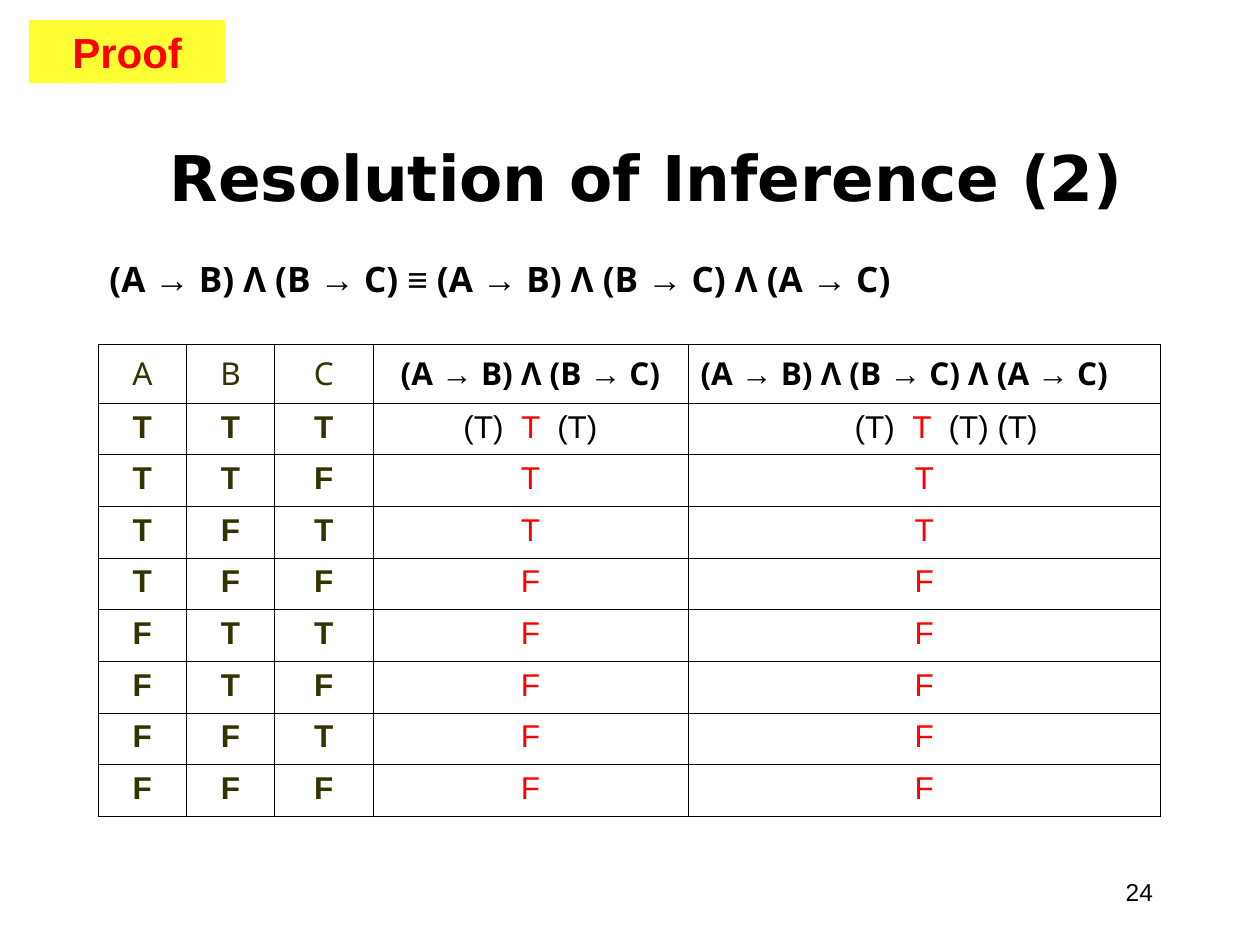
from itertools import groupby, product

from lxml.etree import SubElement
from pptx import Presentation
from pptx.dml.color import RGBColor
from pptx.enum.shapes import MSO_SHAPE
from pptx.enum.text import MSO_ANCHOR, PP_ALIGN
from pptx.oxml.ns import qn
from pptx.util import Inches, Pt

COLORS = {"ink": "000000", "olive": "333300", "red": "FF0000", "yellow": "FFFF33"}
# Font and weight of the logic symbols inside a formula
SYMBOLS = {"→": ("Arial", False), "≡": ("Arial", True)}
PREMISES = "(A → B) Λ (B → C)"
EXTENDED = PREMISES + " Λ (A → C)"
RESULTS = "TTTFFFFF"
COLUMN_WIDTHS = [0.7, 0.7, 0.78, 2.5, 3.75]
HEADER_HEIGHT, ROW_HEIGHT = 0.47, 0.41


def apply(target, formats):
    for name, value in formats.items():
        setattr(target, name, value)


def rgb(name):
    return RGBColor.from_string(COLORS[name])


def write(paragraph, text, size=18, font="Arial", color="ink", bold=False):
    run = paragraph.add_run()
    run.text = text
    apply(run.font, {"size": Pt(size), "name": font, "bold": bold})
    run.font.color.rgb = rgb(color)


def write_formula(paragraph, formula, size):
    for (font, bold), chars in groupby(formula, lambda c: SYMBOLS.get(c, ("Noto Sans", True))):
        write(paragraph, "".join(chars), size, font, bold=bold)


def indent(paragraph, inches):
    paragraph._p.get_or_add_pPr().set("marL", str(Inches(inches)))


def place(shape, left, top, width, height):
    apply(shape, {"left": Inches(left), "top": Inches(top),
                  "width": Inches(width), "height": Inches(height)})


def add_text(slide, box, align, anchor=MSO_ANCHOR.TOP, wrap=True):
    frame = slide.shapes.add_textbox(*map(Inches, box)).text_frame
    apply(frame, {"word_wrap": wrap, "vertical_anchor": anchor})
    frame.paragraphs[0].alignment = align
    return frame.paragraphs[0]


def border(cell):
    properties = cell._tc.get_or_add_tcPr()
    for position, side in enumerate(("lnL", "lnR", "lnT", "lnB")):
        line = SubElement(properties, qn(f"a:{side}"), w=str(Pt(0.45)))
        fill = SubElement(line, qn("a:solidFill"))
        SubElement(fill, qn("a:srgbClr"), val=COLORS["ink"])
        properties.insert(position, line)


def format_cell(cell, anchor):
    cell.fill.background()
    border(cell)
    apply(cell, {"vertical_anchor": anchor,
                 "margin_left": Inches(0.1), "margin_right": Inches(0.1),
                 "margin_top": Inches(0.05), "margin_bottom": Inches(0.05)})
    paragraph = cell.text_frame.paragraphs[0]
    paragraph.alignment = PP_ALIGN.CENTER
    return paragraph


def add_truth_table(slide):
    heights = [HEADER_HEIGHT] + [ROW_HEIGHT] * len(RESULTS)
    table = slide.shapes.add_table(
        len(heights), len(COLUMN_WIDTHS), Inches(0.78), Inches(2.73),
        Inches(sum(COLUMN_WIDTHS)), Inches(sum(heights))).table
    apply(table, {"first_row": False, "horz_banding": False})
    for column, width in zip(table.columns, COLUMN_WIDTHS):
        column.width = Inches(width)
    for row, height in zip(table.rows, heights):
        row.height = Inches(height)

    # Header row
    header = [format_cell(cell, MSO_ANCHOR.MIDDLE) for cell in table.rows[0].cells]
    for paragraph, variable in zip(header, "ABC"):
        write(paragraph, variable, font="Noto Sans", color="olive")
    write_formula(header[3], PREMISES, 18)
    write_formula(header[4], EXTENDED, 18)
    apply(header[4], {"alignment": PP_ALIGN.LEFT, "line_spacing": 0.9,
                      "space_before": Pt(4.5)})

    # Every assignment of A, B, C with the value of both formulas
    for number, (values, result) in enumerate(zip(product("TF", repeat=3), RESULTS), 1):
        cells = [format_cell(cell, MSO_ANCHOR.TOP) for cell in table.rows[number].cells]
        for paragraph, value in zip(cells, values):
            write(paragraph, value, color="olive", bold=True)
        for paragraph, tail in zip(cells[3:], (" (T)", " (T) (T)")):
            if number == 1:
                write(paragraph, "(T)  ")
                write(paragraph, result + " ", color="red")
                write(paragraph, tail)
            else:
                write(paragraph, result, color="red")
    indent(table.cell(1, 4).text_frame.paragraphs[0], 0.35)


def add_badge(slide):
    badge = slide.shapes.add_shape(MSO_SHAPE.RECTANGLE, *map(Inches, (0.23, 0.16, 1.56, 0.5)))
    badge.shadow.inherit = False
    badge.fill.solid()
    badge.fill.fore_color.rgb = rgb("yellow")
    badge.line.fill.background()
    badge.text_frame.vertical_anchor = MSO_ANCHOR.TOP
    label = badge.text_frame.paragraphs[0]
    label.alignment = PP_ALIGN.CENTER
    write(label, "Proof", 24, color="red", bold=True)


def main():
    deck = Presentation()
    apply(deck, {"slide_width": Inches(10), "slide_height": Inches(7.5)})
    slide = deck.slides.add_slide(deck.slide_layouts[5])

    # Slide number
    number = add_text(slide, (8.58, 6.83, 0.67, 0.5), PP_ALIGN.RIGHT, MSO_ANCHOR.MIDDLE, False)
    write(number, "24", 14)

    # Title
    title = slide.shapes.title
    place(title, 0.67, 1, 8.92, 0.75)
    apply(title.text_frame, {"vertical_anchor": MSO_ANCHOR.BOTTOM, "word_wrap": True})
    heading = title.text_frame.paragraphs[0]
    heading.alignment = PP_ALIGN.CENTER
    write(heading, "Resolution of Inference (2)", 36, "DejaVu Sans", bold=True)

    add_truth_table(slide)

    # Equivalence above the table
    equivalence = add_text(slide, (0.55, 2.03, 7.19, 0.47), PP_ALIGN.LEFT)
    apply(equivalence, {"line_spacing": 0.9, "space_before": Pt(5)})
    indent(equivalence, 0.22)
    write_formula(equivalence, f"{PREMISES} ≡ {EXTENDED}", 20)

    add_badge(slide)
    deck.save("out.pptx")


main()
